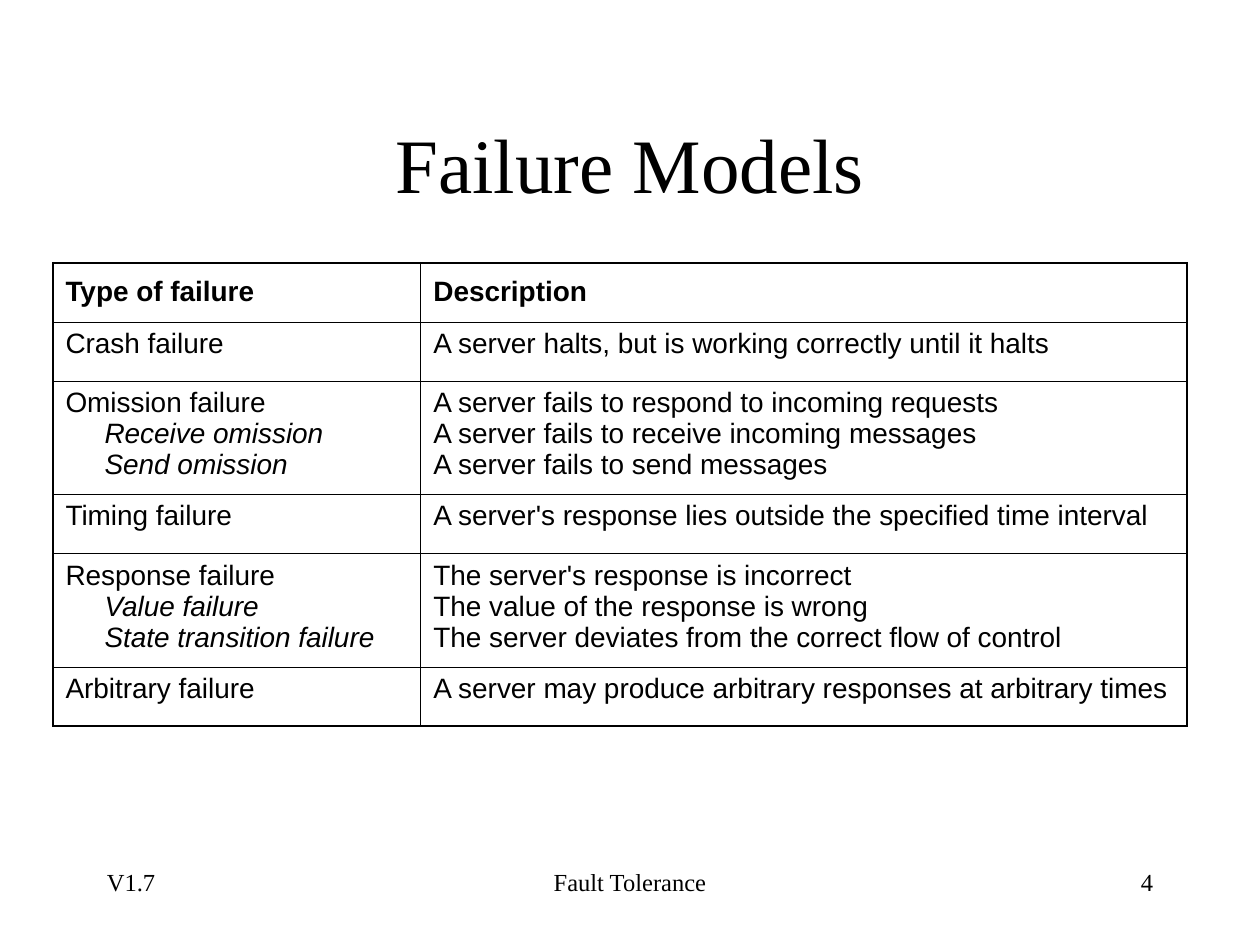
from lxml import etree
from pptx import Presentation
from pptx import util as u
from pptx.dml.color import RGBColor
from pptx.enum import text
from pptx.oxml.ns import qn

HUES = {"ink": "000000"}
INK = RGBColor.from_string(HUES["ink"])
THIN, THICK = 0.45, 1.08

deck = Presentation()
deck.slide_width, deck.slide_height = u.Inches(10), u.Inches(7.5)
wide, high = deck.slide_width, deck.slide_height
slide = deck.slides.add_slide(deck.slide_layouts[6])


def style(para, face, size):
    for run in para.runs:
        run.font.name, run.font.size = face, u.Pt(size)
        run.font.color.rgb = INK


def rule(cell, side, width):
    line = etree.SubElement(cell._tc.get_or_add_tcPr(), qn("a:ln" + side),
                            w=str(u.Pt(width)))
    fill = etree.SubElement(line, qn("a:solidFill"))
    etree.SubElement(fill, qn("a:srgbClr"), val=HUES["ink"])


# Title and footer: words, left, top, width, height (twelfths of the slide), size
mid, left, right = text.PP_ALIGN.CENTER, text.PP_ALIGN.LEFT, text.PP_ALIGN.RIGHT
labels = [
    ("Failure Models", 0.9, 1.07, 10.2, 2, 44, mid),
    ("V1.7", 0.9, 10.93, 2.5, 0.8, 14, left),
    ("Fault Tolerance", 4.1, 10.93, 3.8, 0.8, 14, mid),
    ("4", 8.6, 10.93, 2.5, 0.8, 14, right),
]
for words, x, y, w, h, size, align in labels:
    box = slide.shapes.add_textbox(int(wide * x / 12), int(high * y / 12),
                                   int(wide * w / 12), int(high * h / 12))
    frame = box.text_frame
    frame.word_wrap = True
    frame.text = words
    if size == 44:
        frame.vertical_anchor = text.MSO_ANCHOR.MIDDLE
    para = frame.paragraphs[0]
    para.alignment = align
    style(para, "Times New Roman", size)

# Table: each row pairs the failure and its subtypes with their descriptions
rows = [
    (["Type of failure"], ["Description"]),
    (["Crash failure"],
     ["A server halts, but is working correctly until it halts"]),
    (["Omission failure", "Receive omission", "Send omission"],
     ["A server fails to respond to incoming requests",
      "A server fails to receive incoming messages",
      "A server fails to send messages"]),
    (["Timing failure"],
     ["A server's response lies outside the specified time interval"]),
    (["Response failure", "Value failure", "State transition failure"],
     ["The server's response is incorrect",
      "The value of the response is wrong",
      "The server deviates from the correct flow of control"]),
    (["Arbitrary failure"],
     ["A server may produce arbitrary responses at arbitrary times"]),
]
last = len(rows) - 1
grid = slide.shapes.add_table(len(rows), 2, int(wide * 0.042), int(high * 0.278),
                              int(wide * 0.9), int(high * 0.49)).table
grid.first_row = grid.horz_banding = False
for col, share in zip(grid.columns, (0.292, 0.608)):
    col.width = int(wide * share)

for r, row in enumerate(rows):
    grid.rows[r].height = u.Inches(0.9 if len(row[0]) > 1 else 0.47)
    for c, lines in enumerate(row):
        cell = grid.cell(r, c)
        cell.text_frame.text = "\n".join(lines)
        if r == 0:
            cell.vertical_anchor = text.MSO_ANCHOR.MIDDLE
        for n, para in enumerate(cell.text_frame.paragraphs):
            style(para, "Arial", 16)
            para.runs[0].font.bold = r == 0
            # Subtypes are indented and italic
            if c == 0 and n > 0:
                para._p.get_or_add_pPr().set("marL", str(u.Inches(0.31)))
                para.runs[0].font.italic = True
        # Heavier lines around the outside
        edges = {"L": c == 0, "R": c == 1, "T": r == 0, "B": r == last}
        for side, outer in edges.items():
            rule(cell, side, THICK if outer else THIN)
        cell.fill.background()

deck.save("out.pptx")
